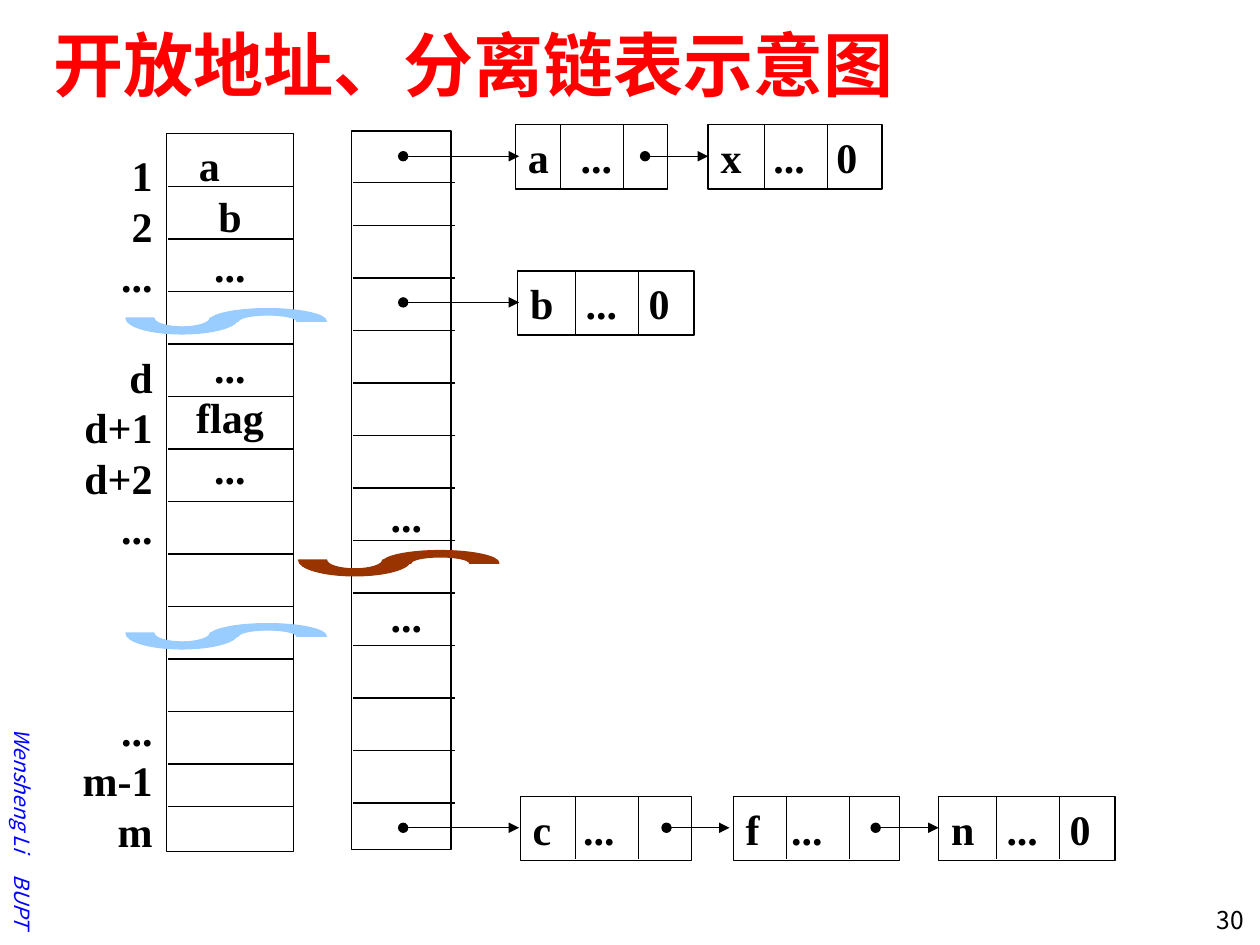
from dataclasses import dataclass

from lxml.etree import SubElement
from pptx import Presentation
from pptx.dml.color import RGBColor
from pptx.enum.shapes import MSO_CONNECTOR, MSO_SHAPE
from pptx.enum.text import MSO_ANCHOR, PP_ALIGN
from pptx.oxml.ns import qn
from pptx.util import Inches, Pt


@dataclass(frozen=True)
class Theme:
    ink: str = "000000"
    title: str = "FF0000"
    credit: str = "0000FF"
    array_wave: str = "99CCFF"
    bucket_wave: str = "993300"
    sans: str = "Noto Sans CJK SC"
    serif: str = "Times New Roman"
    title_size: int = 40
    body_size: int = 24
    number_size: int = 14
    credit_size: int = 12
    line_width: float = 0.75
    row_height: float = 0.4


THEME = Theme()
LEFT, CENTER, RIGHT = PP_ALIGN.LEFT, PP_ALIGN.CENTER, PP_ALIGN.RIGHT
STEP = 5 / 12  # distance between table rules
BEND = 0.55  # handle length of a quarter ellipse


def color(value):
    return RGBColor.from_string(value)


def write(shape, lines, size=THEME.body_size, font=THEME.serif, ink=THEME.ink,
          bold=True, italic=False, align=CENTER, anchor=MSO_ANCHOR.MIDDLE,
          margins=(0.1, 0.05, 0.1, 0.05), row_height=None, tabs=(), indents=None):
    """Write lines; an empty line becomes space before the next one."""
    frame = shape.text_frame
    frame.word_wrap = True
    frame.vertical_anchor = anchor
    (frame.margin_left, frame.margin_top,
     frame.margin_right, frame.margin_bottom) = map(Inches, margins)
    gap, para = 0, None
    for row, line in enumerate(lines):
        if not line:
            gap += 1
            continue
        para = frame.add_paragraph() if para else frame.paragraphs[0]
        para.alignment = align
        if row_height:
            para.line_spacing = Pt(row_height * 72)
            para.space_before = Pt(gap * row_height * 72)
        gap = 0
        props = para._p.get_or_add_pPr()
        if indents and row in indents:
            para.alignment = LEFT
            props.set("marL", str(Inches(indents[row])))
        if tabs:
            stops = SubElement(props, qn("a:tabLst"))
            for stop in tabs:
                SubElement(stops, qn("a:tab"), pos=str(Inches(stop)), algn="l")
        span = para.add_run()
        span.text = line
        span.font.size, span.font.name = Pt(size), font
        span.font.bold, span.font.italic = bold, italic
        span.font.color.rgb = color(ink)
        SubElement(span._r.get_or_add_rPr(), qn("a:ea"), typeface=font)


def text_box(page, box, lines, **style):
    shape = page.shapes.add_textbox(*map(Inches, box))
    write(shape, lines, **style)
    return shape


def outline(page, box):
    shape = page.shapes.add_shape(MSO_SHAPE.RECTANGLE, *map(Inches, box))
    shape.shadow.inherit = False
    shape.fill.background()
    shape.line.color.rgb = color(THEME.ink)
    shape.line.width = Pt(THEME.line_width)
    return shape


def rule(page, x1, y1, x2, y2, arrow=False):
    line = page.shapes.add_connector(MSO_CONNECTOR.STRAIGHT,
                                     *map(Inches, (x1, y1, x2, y2)))
    line.line.color.rgb = color(THEME.ink)
    line.line.width = Pt(THEME.line_width)
    if arrow:
        stroke = line.line._get_or_add_ln()
        SubElement(stroke, qn("a:headEnd"), type="oval")
        SubElement(stroke, qn("a:tailEnd"), type="triangle")
    SubElement(line._element.spPr, qn("a:effectLst"))


def half_arc(x, y, rx, ry):
    """Two curves from x - rx over y + ry to x + rx."""
    return [[(x - rx, y + BEND * ry), (x - BEND * rx, y + ry), (x, y + ry)],
            [(x + BEND * rx, y + ry), (x + rx, y + BEND * ry), (x + rx, y)]]


def half_ring(page, left, top, width, height, inner_height, direction, fill):
    corners = [(left, top), (left + width, top),
               (left + width, top + height), (left, top + height)]
    corners = [(Inches(x), Inches(y)) for x, y in corners]
    builder = page.shapes.build_freeform(*corners[0])
    builder.add_line_segments(corners[1:], close=True)
    shape = builder.convert_to_shape()
    shape.shadow.inherit = False
    shape.fill.solid()
    shape.fill.fore_color.rgb = color(fill)
    shape.line.color.rgb = color(fill)
    shape.line.width = Pt(THEME.line_width)

    # Curved outline inside the ellipse box
    x, y, rx = width / 2, height / 2, width / 2
    inner = half_arc(x, y, rx / 2, direction * inner_height)
    outer = half_arc(x, y, -rx, direction * height / 2)
    start = (x - rx / 2, y)
    steps = ([("moveTo", [start])] + [("cubicBezTo", arc) for arc in inner]
             + [("lnTo", [(x + rx, y)])] + [("cubicBezTo", arc) for arc in outer]
             + [("lnTo", [start]), ("close", [])])
    contour = next(shape._element.iter(qn("a:path")))
    for child in list(contour):
        contour.remove(child)
    for name, points in steps:
        node = SubElement(contour, qn("a:" + name))
        for px, py in points:
            SubElement(node, qn("a:pt"), x=str(Inches(px)), y=str(Inches(py)))


def wave(page, left, top, fill):
    half_ring(page, left, top, 0.89, 0.25, 0.07, 1, fill)
    half_ring(page, left + 0.66, top + 0.05, 0.93, 0.2, 0.05, -1, fill)


def open_address_table(page, left, top, width, height):
    rows = dict(anchor=MSO_ANCHOR.TOP, row_height=THEME.row_height)
    write(outline(page, (left, top, width, height)),
          ["a", "b", "...", "", "...", "flag", "..."], indents={0: 0.16}, **rows)
    for offset in [0.42 + STEP * i for i in range(12)] + [5.34]:
        rule(page, left + 0.01, top + offset, left + width, top + offset)
    text_box(page, (left - 0.77, top + 0.08, 0.76, height),
             ["1", "2", "...", "", "d", "d+1", "d+2", "...",
              "", "", "", "...", "m-1", "m"],
             align=RIGHT, margins=(0, 0.05, 0.1, 0.05), **rows)
    for offset in (1.34, 3.84):
        wave(page, left - 0.32, top + offset, THEME.array_wave)


def bucket_table(page, left, top, width, height):
    first_row = 7  # rows above the first ellipsis
    write(outline(page, (left, top, width, height)), ["...", "", "..."],
          anchor=MSO_ANCHOR.TOP, row_height=THEME.row_height,
          margins=(0.18, 0.05 + first_row * THEME.row_height, 0.1, 0.05))
    for offset in [0.41] + [0.75 + STEP * i for i in range(12)]:
        rule(page, left + 0.01, top + offset, left + 0.82, top + offset)
    wave(page, left - 0.42, top + 3.28, THEME.bucket_wave)


def chain(page, left, top, nodes, height=0.51):
    """Nodes: offset, width, first divider, ellipsis tab, text, arrow offsets."""
    middle = top + 0.25
    for offset, width, divider, tab, text, arrow in nodes:
        x = left + offset
        write(outline(page, (x, top, width, height)), [text], align=LEFT,
              margins=(0.1, 0.05, 0, 0.05), tabs=(tab, tab + 0.5))
        for split in (divider, divider + 0.5):
            rule(page, x + split, top, x + split, top + 0.5)
        rule(page, left + arrow[0], middle, left + arrow[1], middle, arrow=True)


def page_frame(page):
    credit = text_box(page, (-1.14, 6, 2.64, 0.3), ["Wensheng Li\tBUPT"],
                      size=THEME.credit_size, font=THEME.sans, ink=THEME.credit,
                      bold=False, italic=True, align=LEFT,
                      margins=(0.95, 0.05, 0, 0.05), tabs=(1.16,))
    credit.rotation = 90
    text_box(page, (9.14, 7.13, 0.83, 0.36), ["30"], size=THEME.number_size,
             font=THEME.sans, bold=False, align=RIGHT, anchor=MSO_ANCHOR.TOP)
    text_box(page, (0.33, 0.17, 9.42, 0.67), ["开放地址、分离链表示意图"],
             size=THEME.title_size, font=THEME.sans, ink=THEME.title, align=LEFT)


deck = Presentation()
deck.slide_width, deck.slide_height = Inches(10), Inches(7.5)
page = deck.slides.add_slide(deck.slide_layouts[6])

page_frame(page)
open_address_table(page, 1.32, 1.06, 1.01, 5.7)
bucket_table(page, 2.79, 1.04, 0.79, 5.7)

# Separate chains
chain(page, 4.09, 0.99, [
    (0, 1.21, 0.36, 0.42, "a\t...", (-0.89, 0.03)),
    (1.53, 1.38, 0.45, 0.42, "x\t...\t0", (1.03, 1.53))])
chain(page, 4.11, 2.15, [
    (0, 1.4, 0.46, 0.44, "b\t...\t0", (-0.91, 0.01))])
chain(page, 4.13, 6.32, [
    (0, 1.36, 0.44, 0.4, "c\t...", (-0.93, -0.01)),
    (1.69, 1.32, 0.42, 0.36, "f\t...", (1.16, 1.66)),
    (3.32, 1.4, 0.46, 0.44, "n\t...\t0", (2.82, 3.32))])

deck.save("out.pptx")
